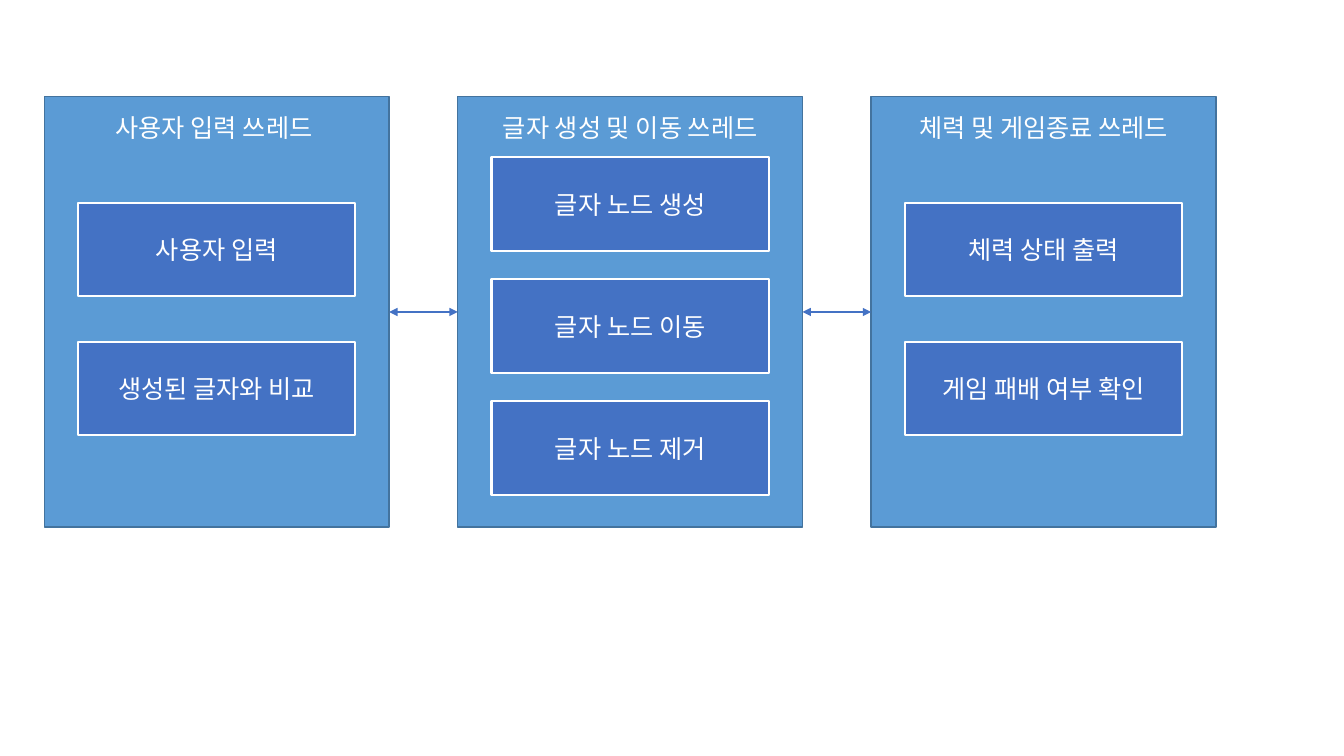
from dataclasses import dataclass

from lxml import etree
from pptx import Presentation
from pptx.dml.color import RGBColor
from pptx.enum.shapes import MSO_CONNECTOR, MSO_SHAPE
from pptx.enum.text import MSO_ANCHOR, MSO_AUTO_SIZE, PP_ALIGN
from pptx.oxml.ns import qn
from pptx.shapes.autoshape import Shape
from pptx.shapes.group import GroupShape
from pptx.shapes.shapetree import SlideShapes
from pptx.util import Inches, Pt

RECTANGLE = MSO_SHAPE.RECTANGLE
STRAIGHT = MSO_CONNECTOR.STRAIGHT
CENTER = PP_ALIGN.CENTER
TOP, MIDDLE = MSO_ANCHOR.TOP, MSO_ANCHOR.MIDDLE
FIT_SHAPE = MSO_AUTO_SIZE.SHAPE_TO_FIT_TEXT
LEFT_SITE, RIGHT_SITE = 1, 3

FONT = "Noto Sans CJK KR"
COLORS = {
    "panel": "5B9BD5",
    "panel_line": "43739E",
    "step": "4472C4",
    "white": "FFFFFF",
}

PANEL_LEFT, PANEL_TOP = 0.44, 0.96
PANEL_WIDTH, PANEL_HEIGHT = 3.42, 4.27
PANEL_PITCH = 4.1
TITLE_TOP, TITLE_HEIGHT = 1.07, 0.4
STEP_WIDTH, STEP_HEIGHT = 2.75, 0.93


@dataclass(frozen=True)
class Thread:
    """A thread panel with its title and vertically spaced steps."""

    title: str
    steps: tuple[str, ...]
    first_top: float = 2.01
    pitch: float = 1.38


THREADS = (
    Thread("사용자 입력 쓰레드 ", ("사용자 입력", "생성된 글자와 비교")),
    Thread(
        "글자 생성 및 이동 쓰레드",
        ("글자 노드 생성", "글자 노드 이동", "글자 노드 제거"),
        first_top=1.56,
        pitch=1.21,
    ),
    Thread("체력 및 게임종료 쓰레드", ("체력 상태 출력", "게임 패배 여부 확인")),
)


def write_text(shape: Shape, text: str, *, size: float = 18,
               color: str = "white", anchor: MSO_ANCHOR = MIDDLE) -> None:
    """Put one centred, formatted line of text into a shape."""
    frame = shape.text_frame
    frame.word_wrap = True
    frame.vertical_anchor = anchor
    paragraph = frame.paragraphs[0]
    paragraph.alignment = CENTER
    run = paragraph.add_run()
    run.text = text
    run.font.size = Pt(size)
    run.font.name = FONT
    run.font.color.rgb = RGBColor.from_string(COLORS[color])
    east_asian = etree.SubElement(run.font._element, qn("a:ea"))
    east_asian.set("typeface", FONT)


def add_box(group: GroupShape, left: float, top: float, width: float,
            height: float, *, fill: str, line: str, weight: float) -> Shape:
    """Add a filled, outlined rectangle to a group."""
    box = group.shapes.add_shape(
        RECTANGLE, Inches(left), Inches(top), Inches(width), Inches(height))
    box.shadow.inherit = False
    box.fill.solid()
    box.fill.fore_color.rgb = RGBColor.from_string(COLORS[fill])
    box.line.color.rgb = RGBColor.from_string(COLORS[line])
    box.line.width = Pt(weight)
    return box


def add_thread(shapes: SlideShapes, thread: Thread, left: float) -> Shape:
    """Draw a thread as a group and return its panel."""
    group = shapes.add_group_shape()
    panel = add_box(group, left, PANEL_TOP, PANEL_WIDTH, PANEL_HEIGHT,
                    fill="panel", line="panel_line", weight=1)
    title = group.shapes.add_textbox(
        Inches(left), Inches(TITLE_TOP), Inches(PANEL_WIDTH), Inches(TITLE_HEIGHT))
    write_text(title, thread.title, anchor=TOP)
    title.text_frame.auto_size = FIT_SHAPE
    step_left = left + (PANEL_WIDTH - STEP_WIDTH) / 2
    for index, text in enumerate(thread.steps):
        step = add_box(group, step_left, thread.first_top + index * thread.pitch,
                       STEP_WIDTH, STEP_HEIGHT,
                       fill="step", line="white", weight=1.5)
        write_text(step, text)
    return panel


def add_double_arrow(shapes: SlideShapes, start: Shape, end: Shape) -> None:
    """Join two neighbouring panels with a two-headed arrow."""
    arrow = shapes.add_connector(STRAIGHT, 0, 0, 0, 0)
    arrow.begin_connect(start, RIGHT_SITE)
    arrow.end_connect(end, LEFT_SITE)
    arrow.line.color.rgb = RGBColor.from_string(COLORS["step"])
    arrow.line.width = Pt(1.5)
    line = arrow.line._get_or_add_ln()
    for tag in ("a:headEnd", "a:tailEnd"):
        etree.SubElement(line, qn(tag)).set("type", "triangle")
    etree.SubElement(arrow._element.spPr, qn("a:effectLst"))


def main() -> None:
    """Build and save the thread diagram."""
    presentation = Presentation()
    presentation.slide_width = Inches(13.33)
    presentation.slide_height = Inches(7.5)
    slide = presentation.slides.add_slide(presentation.slide_layouts[6])
    panels = [add_thread(slide.shapes, thread, PANEL_LEFT + index * PANEL_PITCH)
              for index, thread in enumerate(THREADS)]
    for start, end in zip(panels, panels[1:]):
        add_double_arrow(slide.shapes, start, end)
    presentation.save("out.pptx")


main()
